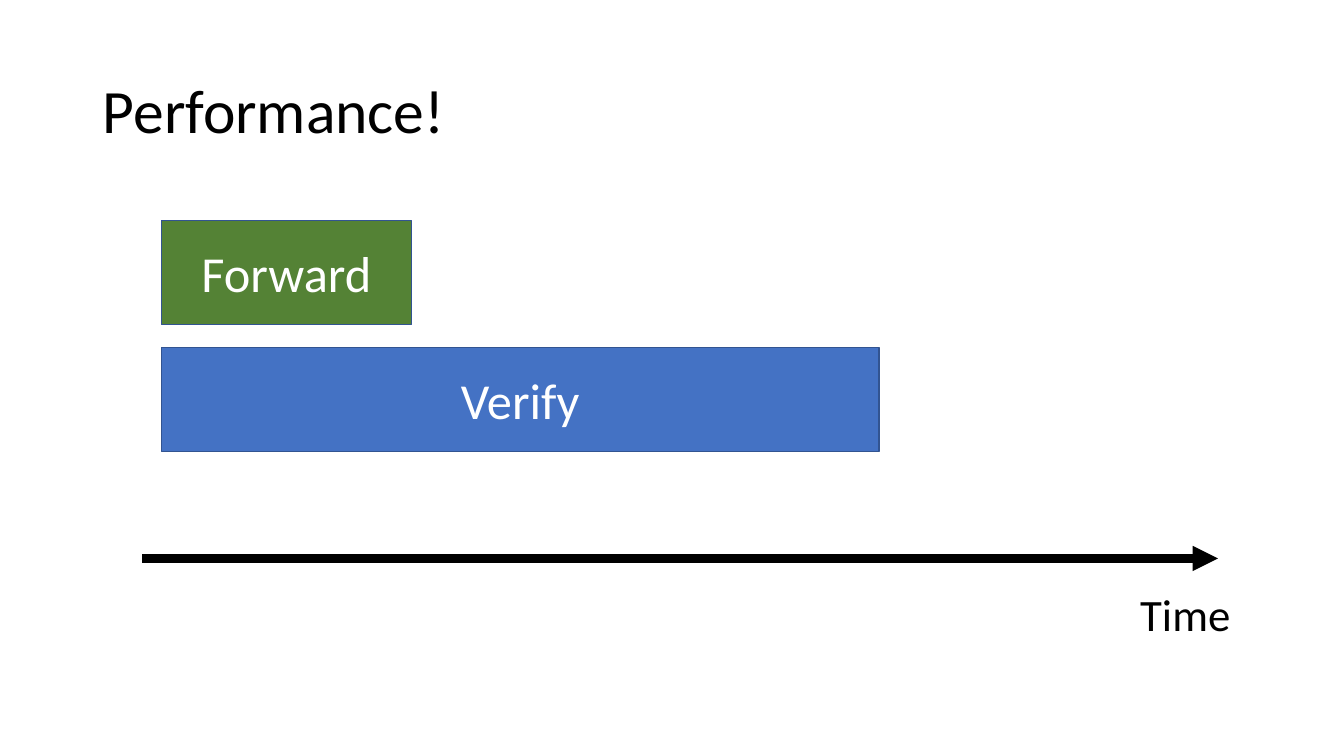
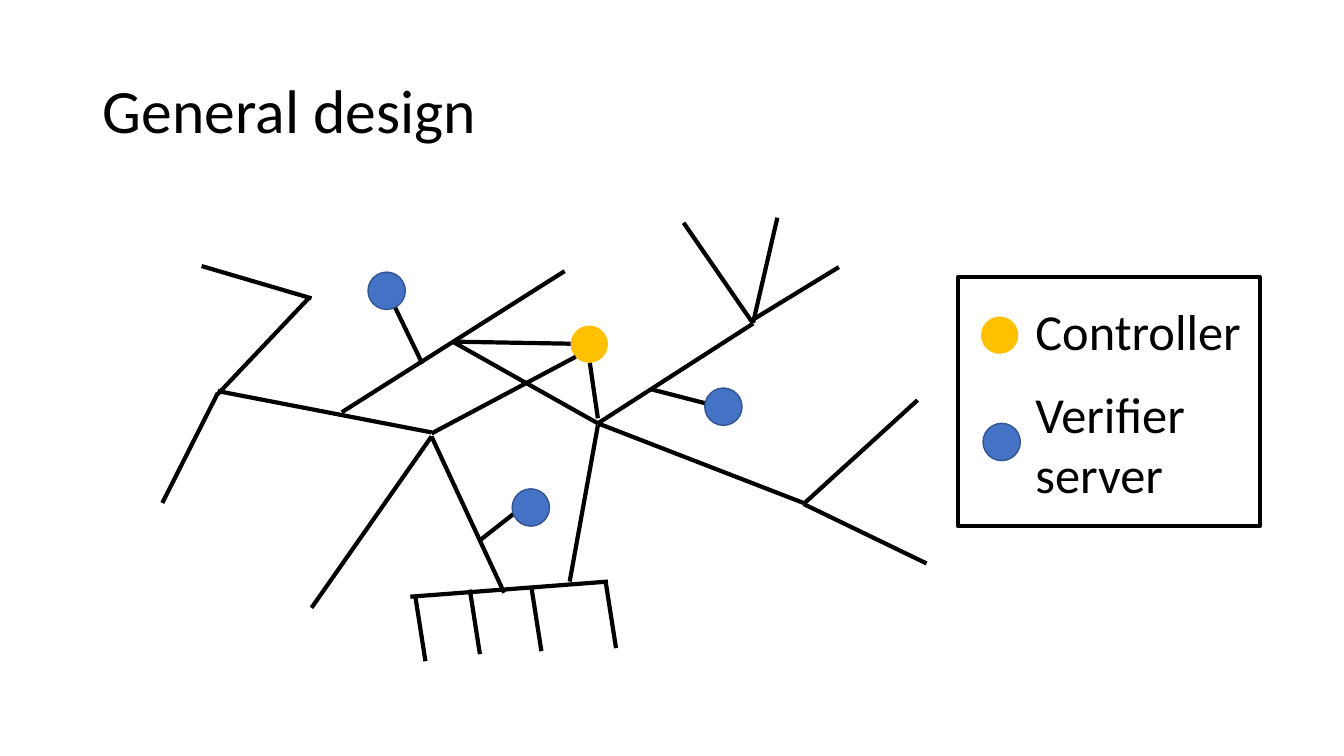
from lxml.etree import SubElement
from pptx import Presentation
from pptx.dml.color import RGBColor
from pptx.enum.shapes import MSO_CONNECTOR, MSO_SHAPE
from pptx.enum.text import MSO_ANCHOR, MSO_AUTO_SIZE, PP_ALIGN
from pptx.oxml.ns import qn
from pptx.util import Inches, Pt

# Shared style
FONT = "Calibri"
BLACK, WHITE = "000000", "FFFFFF"
GREEN, BLUE, GOLD, EDGE = "548235", "4472C4", "FFC000", "325491"
TITLE_ONLY = 5
TITLE_BOX = (0.92, 0.4, 11.5, 1.45)
NODE_SIZE = 0.37

# Network links: x1, y1, x2, y2
LINKS = [
    (2, 2.64, 3.09, 2.96), (2.16, 3.91, 3.06, 2.96),
    (4.28, 4.29, 2.16, 3.88), (1.61, 4.99, 2.16, 3.9),
    (5.6, 2.69, 3.39, 4.09), (4.49, 3.39, 5.93, 4.2),
    (4.28, 4.33, 3.09, 6.03), (4.28, 4.33, 5, 5.88),
    (4.07, 5.92, 6.03, 5.77), (5.93, 4.22, 5.65, 5.77),
    (5.93, 4.2, 7.47, 3.21), (5.93, 4.2, 7.97, 4.99),
    (6.78, 2.21, 7.47, 3.21), (7.71, 2.16, 7.47, 3.2),
    (8.32, 2.65, 7.47, 3.17), (9.1, 3.97, 7.97, 5),
    (9.19, 5.59, 7.97, 5),
]
BUS_DROPS = [(4.12, 5.92), (4.66, 5.85), (5.27, 5.82), (6.01, 5.79)]
DROP_DX, DROP_DY = 0.1, 0.64
VERIFIER_LINKS = [(3.89, 2.99, 4.19, 3.61), (4.76, 5.36, 5.13, 5.07),
                  (6.45, 3.86, 7.07, 4.02)]
VERIFIERS = [(3.65, 2.7), (5.08, 4.85), (6.99, 3.85)]
CONTROLLER = (5.66, 3.23)
CONTROLLER_LINKS = [(5.85, 3.6, 5.93, 4.15), (5.66, 3.41, 4.52, 3.39),
                    (5.71, 3.54, 4.28, 4.3)]


def rgb(value):
    return RGBColor.from_string(value)


def inches(values):
    return [Inches(value) for value in values]


def apply(target, formats):
    for name, value in formats.items():
        setattr(target, name, value)


def write(frame, text, size, color=BLACK, align=PP_ALIGN.LEFT, **frame_formats):
    apply(frame, frame_formats)
    paragraph = frame.paragraphs[0]
    paragraph.text = text
    paragraph.alignment = align
    for run in paragraph.runs:
        apply(run.font, {"name": FONT, "size": Pt(size)})
        run.font.color.rgb = rgb(color)
    return paragraph


def add_titled_slide(deck, text):
    slide = deck.slides.add_slide(deck.slide_layouts[TITLE_ONLY])
    title = slide.shapes.title
    apply(title, dict(zip(("left", "top", "width", "height"), inches(TITLE_BOX))))
    paragraph = write(title.text_frame, text, 44, word_wrap=True,
                      auto_size=MSO_AUTO_SIZE.NONE,
                      vertical_anchor=MSO_ANCHOR.MIDDLE)
    paragraph.line_spacing = 0.9
    return slide


def add_preset(shapes, kind, box, fill=None, line=None, width=1):
    preset = shapes.add_shape(kind, *inches(box))
    preset.shadow.inherit = False
    if fill:
        preset.fill.solid()
        preset.fill.fore_color.rgb = rgb(fill)
    else:
        preset.fill.background()
    if line:
        preset.line.color.rgb = rgb(line)
        preset.line.width = Pt(width)
    else:
        preset.line.fill.background()
    return preset


def add_bar(shapes, text, top, width, fill):
    bar = add_preset(shapes, MSO_SHAPE.RECTANGLE, (1.6, top, width, 1.03),
                     fill, EDGE)
    write(bar.text_frame, text, 36, WHITE, PP_ALIGN.CENTER,
          vertical_anchor=MSO_ANCHOR.MIDDLE)


def add_node(shapes, position, fill, line=None):
    add_preset(shapes, MSO_SHAPE.OVAL, (*position, NODE_SIZE, NODE_SIZE),
               fill, line)


def add_line(shapes, ends, width=3, arrow=False):
    link = shapes.add_connector(MSO_CONNECTOR.STRAIGHT, *inches(ends))
    link.line.color.rgb = rgb(BLACK)
    link.line.width = Pt(width)
    if arrow:
        SubElement(link.line._get_or_add_ln(), qn("a:tailEnd"), type="triangle")
    SubElement(link._element.spPr, qn("a:effectLst"))


def add_label(shapes, text, box, size, wrap=True):
    label = shapes.add_textbox(*inches(box))
    write(label.text_frame, text, size, word_wrap=wrap,
          auto_size=MSO_AUTO_SIZE.SHAPE_TO_FIT_TEXT)


def add_legend(slide):
    legend = slide.shapes.add_group_shape().shapes
    add_node(legend, (9.73, 3.14), GOLD)
    add_node(legend, (9.75, 4.2), BLUE, EDGE)
    add_label(legend, "Controller", (10.17, 2.93, 2.41, 0.71), 36)
    add_label(legend, "Verifier\vserver", (10.17, 3.75, 2.41, 1.31), 36)
    add_preset(legend, MSO_SHAPE.RECTANGLE, (9.5, 2.75, 3, 2.47),
               line=BLACK, width=3)


def build_performance(deck):
    shapes = add_titled_slide(deck, "Performance!").shapes
    add_bar(shapes, "Forward", 2.19, 2.48, GREEN)
    add_bar(shapes, "Verify", 3.45, 7.12, BLUE)
    # Time axis
    add_line(shapes, (1.41, 5.54, 12.08, 5.54), width=6, arrow=True)
    add_label(shapes, "Time", (11.21, 5.77, 1.11, 0.64), 32, wrap=False)


def build_design(deck):
    slide = add_titled_slide(deck, "General design")
    shapes = slide.shapes
    # Network
    drops = [(x, y, x + DROP_DX, y + DROP_DY) for x, y in BUS_DROPS]
    for ends in LINKS + drops + VERIFIER_LINKS:
        add_line(shapes, ends)
    # Servers and controller
    for position in VERIFIERS:
        add_node(shapes, position, BLUE, EDGE)
    add_node(shapes, CONTROLLER, GOLD)
    for ends in CONTROLLER_LINKS:
        add_line(shapes, ends)
    add_legend(slide)


def main():
    deck = Presentation()
    apply(deck, {"slide_width": Inches(13.33), "slide_height": Inches(7.5)})
    build_performance(deck)
    build_design(deck)
    deck.save("out.pptx")


main()
